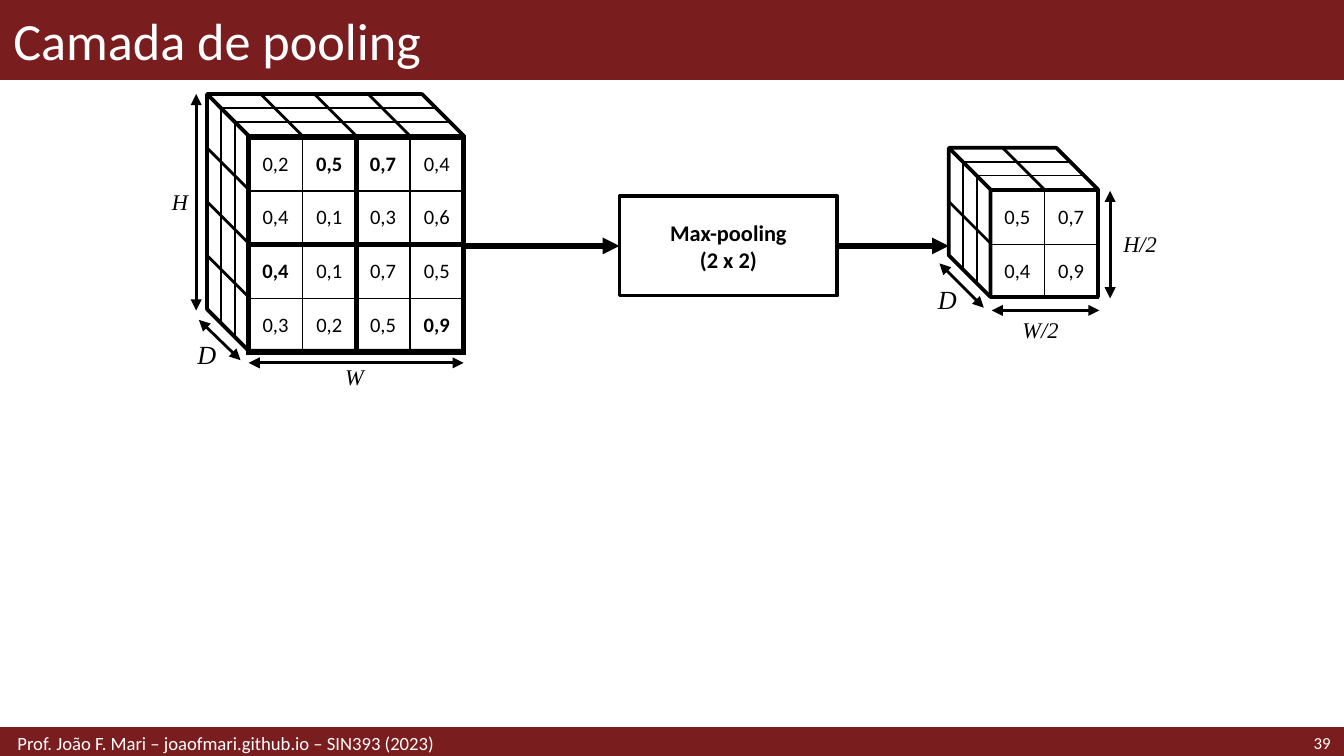
from lxml.etree import SubElement
from pptx import Presentation
from pptx.dml.color import RGBColor
from pptx.enum.shapes import MSO_CONNECTOR, MSO_SHAPE
from pptx.enum.text import MSO_ANCHOR, MSO_AUTO_SIZE, PP_ALIGN
from pptx.oxml.ns import qn
from pptx.util import Inches, Pt

RED = RGBColor(0x79, 0x1D, 0x1F)
BLACK = RGBColor(0, 0, 0)
WHITE = RGBColor(255, 255, 255)
SANS = "Calibri"
SERIF = "Times New Roman"
CELL = 0.4    # side of a grid cell
DEPTH = 0.31  # offset of the back face
LAYERS = 3    # slices along the depth


class Canvas:
    def __init__(self, slide):
        self.slide = slide
        self.shapes = slide.shapes

    def style(self, frame, size, color=BLACK, font=SANS, bold=False,
              italic=False, align=PP_ALIGN.LEFT):
        for para in frame.paragraphs:
            para.alignment = align
            for run in para.runs:
                run.font.name = font
                run.font.size = Pt(size)
                run.font.bold = bold
                run.font.italic = italic
                run.font.color.rgb = color

    def shape(self, kind, x, y, w, h, fill=None, line=BLACK, width=2):
        item = self.shapes.add_shape(kind, Inches(x), Inches(y), Inches(w), Inches(h))
        item.shadow.inherit = False
        if fill is None:
            item.fill.background()
        else:
            item.fill.solid()
            item.fill.fore_color.rgb = fill
        item.line.color.rgb = line
        item.line.width = Pt(width)
        return item

    def title(self, text, x, y, w, h):
        item = self.shapes.title
        item.left, item.top, item.width, item.height = map(Inches, (x, y, w, h))
        frame = item.text_frame
        frame.text = text
        frame.vertical_anchor = MSO_ANCHOR.MIDDLE
        self.style(frame, 28, WHITE)
        # Bring the title in front of its bar
        item.element.getparent().append(item.element)

    def text(self, text, x, y, w, h, size, wrap=True, **look):
        item = self.shapes.add_textbox(Inches(x), Inches(y), Inches(w), Inches(h))
        frame = item.text_frame
        frame.text = text
        frame.word_wrap = wrap
        self.style(frame, size, **look)
        return frame

    def footer(self, text, x, w, size, align):
        frame = self.text(text, x, 5.42, w, 0.21, size, color=WHITE, align=align)
        frame.vertical_anchor = MSO_ANCHOR.MIDDLE
        frame.margin_left = Inches(0.13)

    def label(self, text, x, y, w, h=0.3, size=12, wrap=True):
        frame = self.text(text, x, y, w, h, size, wrap, font=SERIF, italic=True)
        frame.auto_size = MSO_AUTO_SIZE.SHAPE_TO_FIT_TEXT

    def line(self, x1, y1, x2, y2, width=1.0, ends=()):
        item = self.shapes.add_connector(
            MSO_CONNECTOR.STRAIGHT, Inches(x1), Inches(y1), Inches(x2), Inches(y2))
        item.line.color.rgb = BLACK
        item.line.width = Pt(width)
        props = item.element.spPr
        for end in ends:
            SubElement(props.find(qn("a:ln")), qn("a:" + end), type="triangle")
        SubElement(props, qn("a:effectLst"))
        return item

    def span(self, x1, y1, x2, y2):
        self.line(x1, y1, x2, y2, 1.5, ("headEnd", "tailEnd"))

    def border(self, cell, side, width):
        props = cell._tc.get_or_add_tcPr()
        edge = SubElement(props, qn("a:ln" + side), w=str(Pt(width)))
        fill = SubElement(edge, qn("a:solidFill"))
        SubElement(fill, qn("a:srgbClr"), val=str(BLACK))

    def grid(self, x, y, rows, bold=(), block=None):
        """Square table; each block of cells gets a heavy outline."""
        count = len(rows)
        side = Inches(CELL * count)
        table = self.shapes.add_table(
            count, count, Inches(x), Inches(y), side, side).table
        table.first_row = table.horz_banding = False

        def heavy(edge):
            return 3 if block and edge % block == 0 else 1

        for i, row in enumerate(rows):
            table.rows[i].height = table.columns[i].width = Inches(CELL)
            for j, value in enumerate(row.split()):
                cell = table.cell(i, j)
                cell.text = value
                cell.vertical_anchor = MSO_ANCHOR.MIDDLE
                cell.margin_left = cell.margin_right = Inches(0.05)
                cell.margin_top = cell.margin_bottom = Inches(0.05)
                self.style(cell.text_frame, 11, bold=(i, j) in bold,
                           align=PP_ALIGN.CENTER)
                for edge, pos in zip("LRTB", (j, j + 1, i, i + 1)):
                    self.border(cell, edge, heavy(pos))
                cell.fill.background()

    def cube(self, x, y, count):
        """Cube whose front face starts at x, y, with ruled top and left faces."""
        face = CELL * count
        side = face + DEPTH
        item = self.shape(MSO_SHAPE.CUBE, x - DEPTH, y - DEPTH, side, side)
        item.rotation = 270
        item.adjustments[0] = DEPTH / side
        # Depth slices
        for k in range(LAYERS + 1):
            gap = DEPTH * k / LAYERS
            left, top = x - gap, y - gap
            self.line(left, top, left, top + face)
            self.line(left + face, top, left, top)
        # Cell edges running to the back
        for k in range(count + 1):
            gap = CELL * k
            self.line(x, y + gap, x - DEPTH, y + gap - DEPTH, 1.5)
            self.line(x + gap - DEPTH, y - DEPTH, x + gap, y, 1.5)


def main():
    deck = Presentation()
    deck.slide_width = Inches(10)
    deck.slide_height = deck.slide_width * 9 // 16
    art = Canvas(deck.slides.add_slide(deck.slide_layouts[5]))

    # Title and footer bars
    art.shape(MSO_SHAPE.RECTANGLE, 0, 0, 10, 0.59, RED, RED, 1)
    art.shape(MSO_SHAPE.RECTANGLE, 0, 5.42, 10, 0.21, RED, RED, 2)
    art.title("Camada de pooling", 0, 0, 10, 0.59)
    art.footer("39", 8.86, 1.14, 9, PP_ALIGN.RIGHT)
    art.footer("Prof. João F. Mari – joaofmari.github.io – SIN393 (2023)",
               0, 6.89, 10, PP_ALIGN.LEFT)

    # Input volume
    art.grid(1.85, 1.02,
             ["0,2 0,5 0,7 0,4", "0,4 0,1 0,3 0,6",
              "0,4 0,1 0,7 0,5", "0,3 0,2 0,5 0,9"],
             bold={(0, 1), (0, 2), (2, 0), (3, 3)}, block=2)
    art.cube(1.85, 1.01, 4)
    art.span(1.48, 2.38, 1.79, 2.68)
    art.span(1.85, 2.7, 3.45, 2.7)
    art.span(1.46, 2.31, 1.46, 0.7)
    art.label("W", 2.47, 2.65, 0.36, wrap=False)
    art.label("H", 1.18, 1.35, 0.31)
    art.label("D", 1.37, 2.47, 0.31, 0.34, 14)

    # Output volume
    art.grid(7.37, 1.42, ["0,5 0,7", "0,4 0,9"])
    art.cube(7.37, 1.41, 2)
    art.span(6.99, 1.96, 7.32, 2.29)
    art.span(7.38, 2.31, 8.18, 2.31)
    art.span(8.26, 2.22, 8.26, 1.42)
    art.label("W/2", 7.51, 2.3, 0.53, wrap=False)
    art.label("H/2", 8.26, 1.66, 0.57)
    art.label("D", 6.88, 2.06, 0.31, 0.34, 14)

    # Pooling step
    box = art.shape(MSO_SHAPE.RECTANGLE, 4.61, 1.46, 1.62, 0.74)
    box.text_frame.text = "Max-pooling\n(2 x 2)"
    box.text_frame.vertical_anchor = MSO_ANCHOR.MIDDLE
    art.style(box.text_frame, 12, bold=True, align=PP_ALIGN.CENTER)
    flow = art.line(6.23, 1.83, 7.06, 1.83, 3, ("tailEnd",))
    flow.begin_connect(box, 3)
    flow = art.line(3.45, 1.83, 4.61, 1.83, 3, ("tailEnd",))
    flow.end_connect(box, 1)

    deck.save("out.pptx")


if __name__ == "__main__":
    main()
